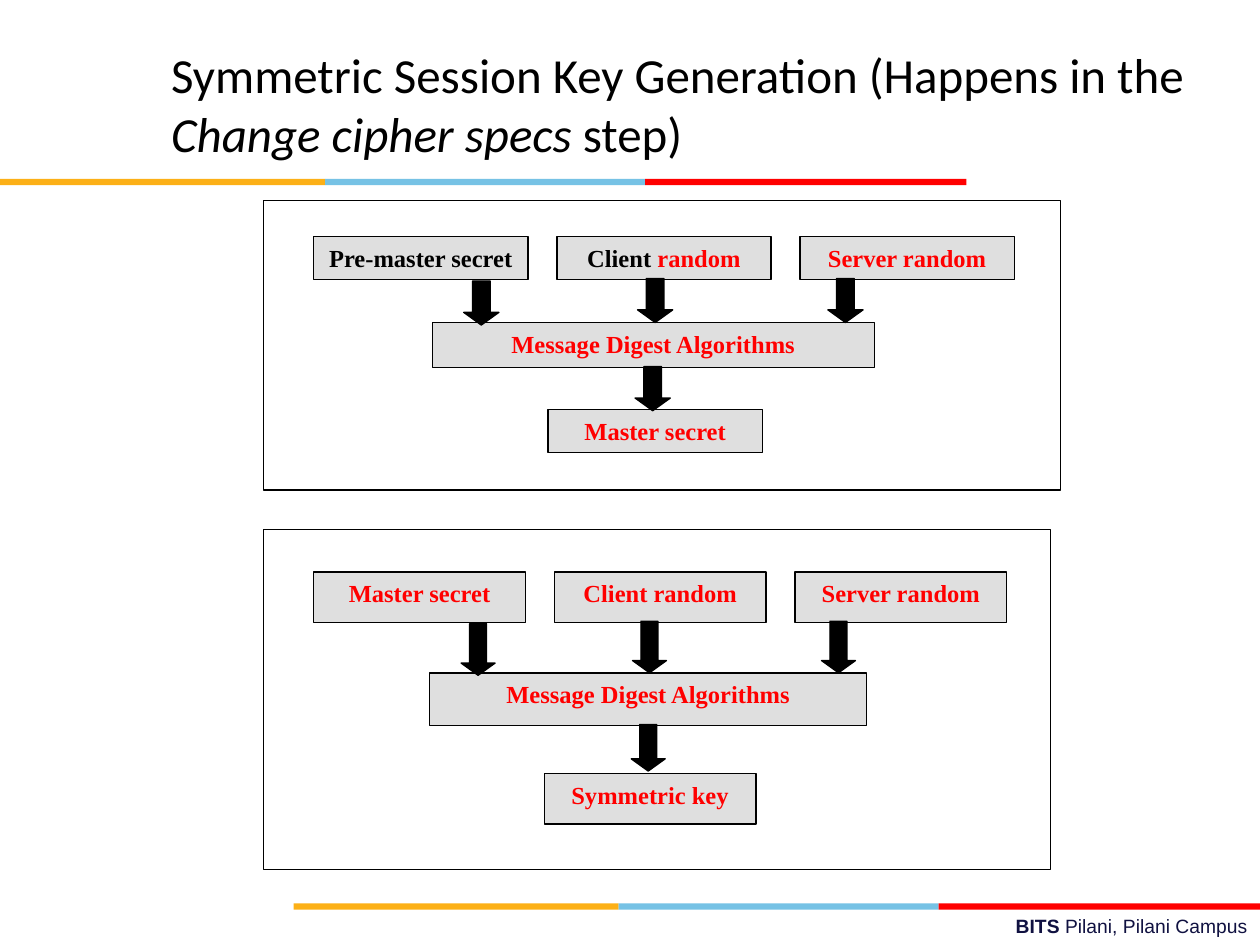
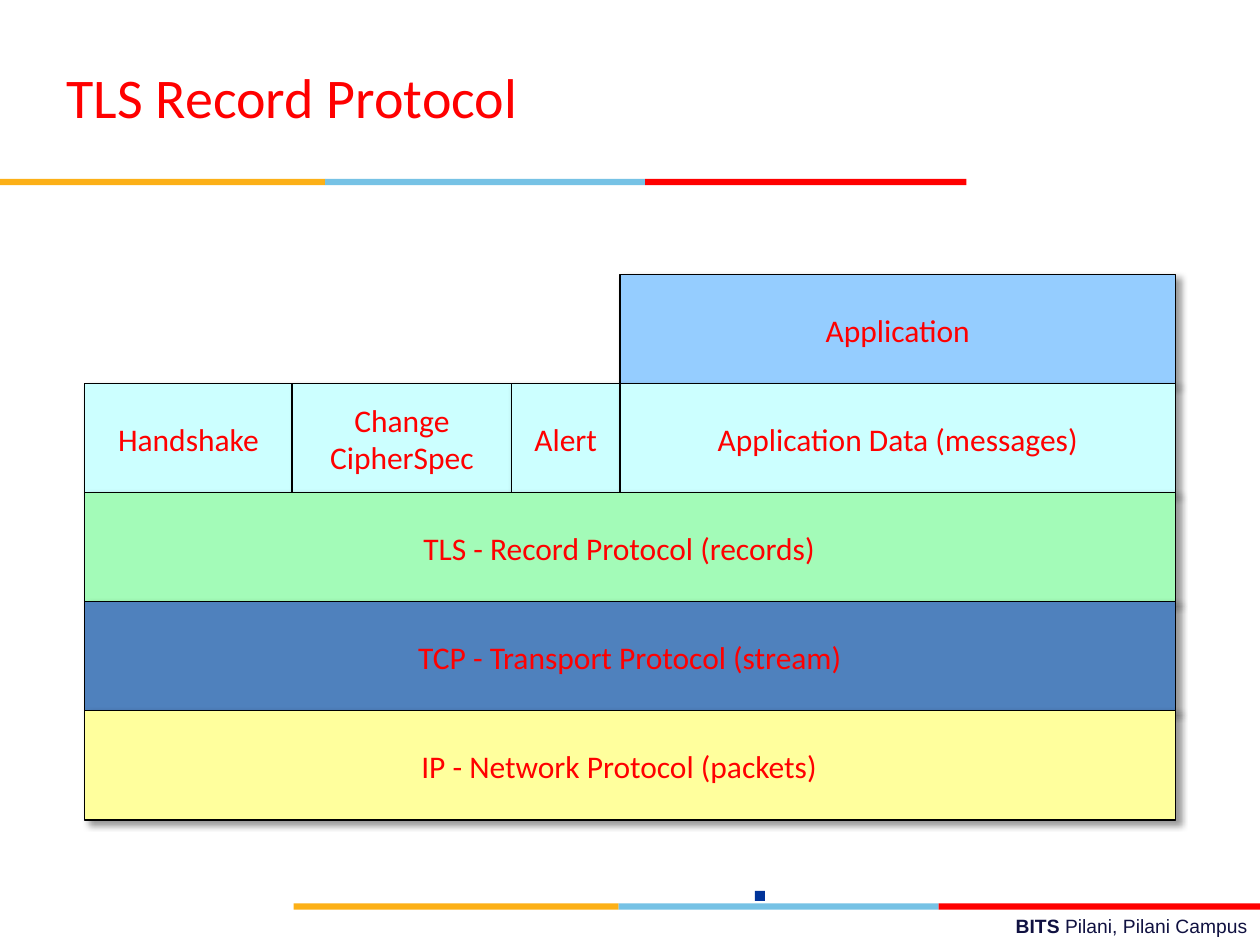
"""Build two slides on TLS: session key generation and the record protocol stack."""
from lxml import etree
from pptx import Presentation
from pptx.dml.color import RGBColor
from pptx.enum import shapes, text
from pptx.oxml import ns
from pptx.util import Inches, Pt

BLACK = RGBColor(0x00, 0x00, 0x00)
WHITE = RGBColor(0xFF, 0xFF, 0xFF)
RED = RGBColor(0xFF, 0x00, 0x00)
AMBER = RGBColor(0xFC, 0xB0, 0x17)
SKY = RGBColor(0x76, 0xC2, 0xE5)
NAVY = RGBColor(0x10, 0x11, 0x41)
MARKER_BLUE = RGBColor(0x00, 0x33, 0x99)
SILVER = RGBColor(0xC0, 0xC0, 0xC0)
AQUA = RGBColor(0xCC, 0xFF, 0xFF)
LIGHT_BLUE = RGBColor(0x95, 0xCD, 0xFF)
GREEN = RGBColor(0xA3, 0xFB, 0xB8)
STEEL = RGBColor(0x4F, 0x81, 0xBD)
YELLOW = RGBColor(0xFF, 0xFF, 0x9D)

RECTANGLE = shapes.MSO_SHAPE.RECTANGLE
LEFT, CENTER, RIGHT = text.PP_ALIGN.LEFT, text.PP_ALIGN.CENTER, text.PP_ALIGN.RIGHT
TOP, MIDDLE = text.MSO_ANCHOR.TOP, text.MSO_ANCHOR.MIDDLE

BAND = [(2.58, AMBER), (2.54, SKY), (2.55, RED)]
BAND_STARTS = [(0, 1.42), (2.33, 7.17)]
FOOTER = [("BITS ", {"bold": True}), ("Pilani, Pilani Campus", {})]

KEY_TITLE = [
    ("Symmetric Session Key Generation (Happens in the ", {}),
    ("Change cipher specs ", {"italic": True}),
    ("step)", {}),
]
KEY_PANELS = [
    {
        "frame": (2.09, 1.59, 6.33, 2.3),
        "sources": [
            [("Pre-master secret", BLACK)],
            [("Client ", BLACK), ("random", RED)],
            [("Server random", RED)],
        ],
        "first_source": (2.49, 1.88, 1.7, 0.34),
        "step": 1.93,
        "digest": (3.43, 2.56, 3.51, 0.36),
        "result": ("Master secret", (4.35, 3.25, 1.7, 0.34)),
        "arrows": [(3.68, 2.23, 0.28, 0.35), (5.06, 2.21, 0.28, 0.35),
                   (6.57, 2.21, 0.28, 0.35), (5.04, 2.91, 0.28, 0.35)],
    },
    {
        "frame": (2.09, 4.2, 6.25, 2.7),
        "sources": [
            [("Master secret", RED)],
            [("Client random", RED)],
            [("Server random", RED)],
        ],
        "first_source": (2.49, 4.54, 1.68, 0.4),
        "step": 1.91,
        "digest": (3.41, 5.34, 3.47, 0.42),
        "result": ("Symmetric key", (4.32, 6.14, 1.68, 0.4)),
        "arrows": [(3.66, 4.95, 0.27, 0.41), (5.02, 4.93, 0.27, 0.41),
                   (6.52, 4.93, 0.27, 0.41), (5.01, 5.75, 0.27, 0.37)],
    },
]

STACK_TITLE = [("TLS Record Protocol", {})]
STACK_TOP, LAYER_STEP, LAYER_HEIGHT = 2.18, 0.865, 0.87
COLUMN_EDGES = [0.67, 2.32, 4.06, 4.92, 9.33]
STACK = [
    [("Application", 3, 4, LIGHT_BLUE)],
    [("Handshake", 0, 1, AQUA), ("Change\nCipherSpec", 1, 2, AQUA),
     ("Alert", 2, 3, AQUA), ("Application Data (messages)", 3, 4, AQUA)],
    [("TLS - Record Protocol (records)", 0, 4, GREEN)],
    [("TCP - Transport Protocol (stream)", 0, 4, STEEL)],
    [("IP - Network Protocol (packets)", 0, 4, YELLOW)],
]
LEFT_SHIFTED = {GREEN, YELLOW}
MARKER = (5.99, 7.07, 0.08, 0.08)


def add_block(page, area, fill, line_width=None, kind=RECTANGLE):
    block = page.shapes.add_shape(kind, *map(Inches, area))
    block.shadow.inherit = False
    block.fill.solid()
    block.fill.fore_color.rgb = fill
    if line_width:
        block.line.color.rgb = BLACK
        block.line.width = Pt(line_width)
    else:
        block.line.fill.background()
    return block


def write(box, spans, size, face, color, align=CENTER, anchor=MIDDLE, wrap=True):
    frame = box.text_frame
    frame.word_wrap = wrap
    frame.vertical_anchor = anchor
    para = frame.paragraphs[0]
    para.alignment = align
    for words, style in spans:
        for number, line in enumerate(words.split("\n")):
            if number:
                para.add_line_break()
            span = para.add_run()
            span.text = line
            span.font.size = Pt(size)
            span.font.name = face
            span.font.color.rgb = style.get("color", color)
            span.font.bold = style.get("bold", False)
            span.font.italic = style.get("italic", False)


def add_text(page, area, *content, **layout):
    box = page.shapes.add_textbox(*map(Inches, area))
    write(box, *content, **layout)


def add_page(deck, title, title_area, title_size, title_color):
    page = deck.slides.add_slide(deck.slide_layouts[6])
    for left, top in BAND_STARTS:
        for width, color in BAND:
            add_block(page, (left, top, width, 0.05), color)
            left += width
    add_text(page, (3.58, 7.21, 6.42, 0.29), FOOTER, 11, "Arial", NAVY,
             align=RIGHT, anchor=TOP)
    add_text(page, title_area, title, title_size, "Calibri", title_color, align=LEFT)
    return page


def add_key_box(page, area, parts):
    box = add_block(page, area, SILVER, 0.75)
    color = box.fill._xPr.find(".//" + ns.qn("a:srgbClr"))
    etree.SubElement(color, ns.qn("a:alpha"), val="50000")
    spans = [(words, {"color": tint, "bold": True}) for words, tint in parts]
    write(box, spans, 14, "Times New Roman", RED, anchor=TOP)


def add_key_panel(page, panel):
    add_block(page, panel["frame"], WHITE, 0.75)
    left, top, width, height = panel["first_source"]
    for number, parts in enumerate(panel["sources"]):
        add_key_box(page, (left + number * panel["step"], top, width, height), parts)
    add_key_box(page, panel["digest"], [("Message Digest Algorithms", RED)])
    result, area = panel["result"]
    add_key_box(page, area, [(result, RED)])
    for area in panel["arrows"]:
        arrow = add_block(page, area, BLACK, 0.75, shapes.MSO_SHAPE.DOWN_ARROW)
        arrow.adjustments[1] = 0.36


def add_drop_shadow(block):
    effects = block._element.spPr.find(ns.qn("a:effectLst"))
    shadow = etree.SubElement(effects, ns.qn("a:outerShdw"), blurRad=str(Pt(4)),
                              dist=str(Pt(3)), dir="2700000", algn="tl", rotWithShape="0")
    color = etree.SubElement(shadow, ns.qn("a:srgbClr"), val=str(BLACK))
    etree.SubElement(color, ns.qn("a:alpha"), val="40000")


def add_stack(page):
    for row, layers in enumerate(STACK):
        for label, start, end, fill in layers:
            left = COLUMN_EDGES[start]
            area = (left, STACK_TOP + row * LAYER_STEP, COLUMN_EDGES[end] - left, LAYER_HEIGHT)
            layer = add_block(page, area, fill, 1)
            add_drop_shadow(layer)
            write(layer, [(label, {})], 18, "Calibri", RED, wrap=False)
            if fill in LEFT_SHIFTED:
                layer.text_frame.margin_right = Inches(0.27)


def main():
    deck = Presentation()
    deck.slide_width, deck.slide_height = Inches(10), Inches(7.5)
    key_page = add_page(deck, KEY_TITLE, (1.26, 0.23, 8.52, 1.18), 28, BLACK)
    for panel in KEY_PANELS:
        add_key_panel(key_page, panel)
    stack_page = add_page(deck, STACK_TITLE, (0.43, 0.3, 6.69, 0.93), 32, RED)
    add_stack(stack_page)
    add_block(stack_page, MARKER, MARKER_BLUE)
    deck.save("out.pptx")


if __name__ == "__main__":
    main()
